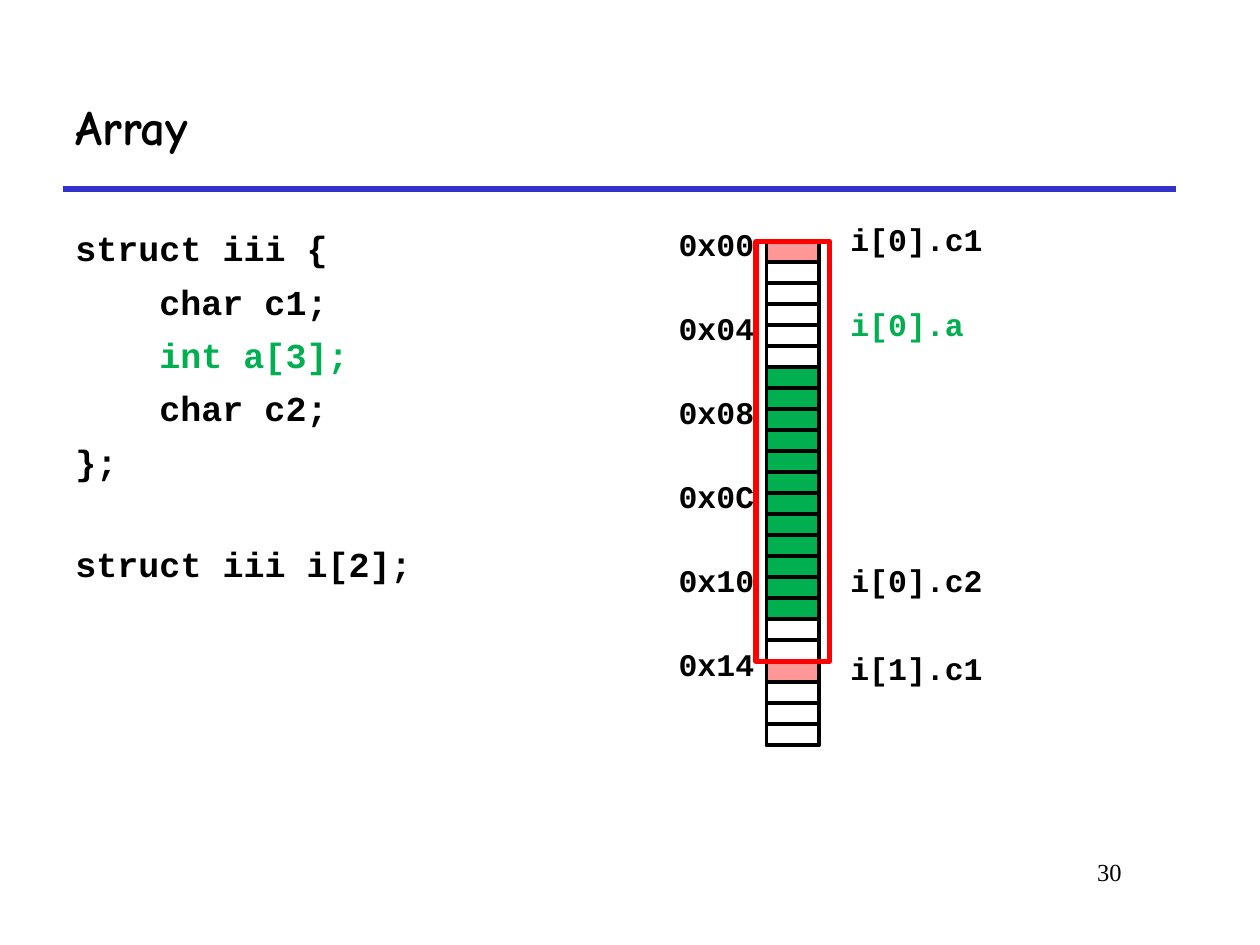
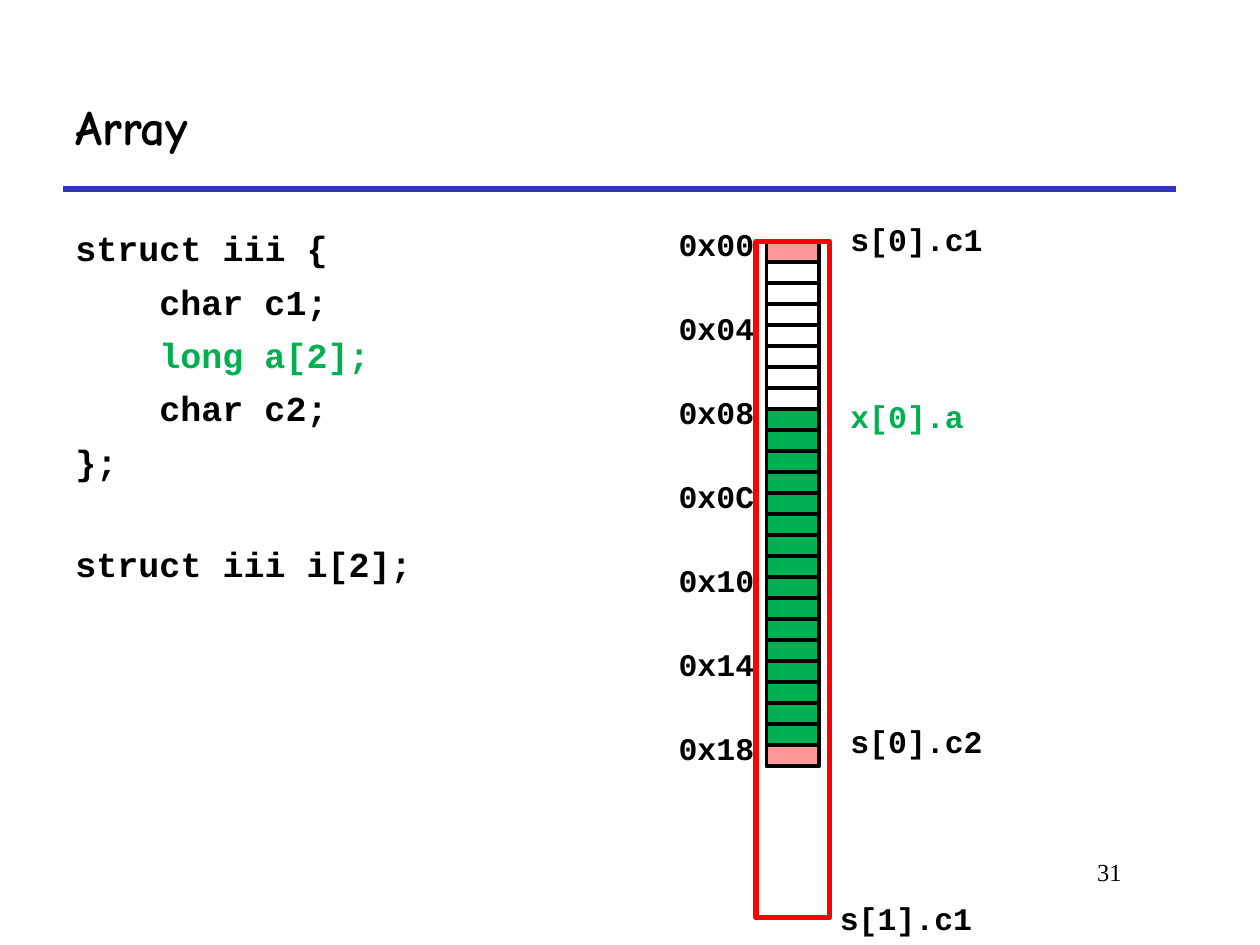
from pptx import Presentation
from pptx.dml.color import RGBColor
from pptx.enum.shapes import MSO_CONNECTOR, MSO_SHAPE
from pptx.enum.text import MSO_ANCHOR, PP_ALIGN
from pptx.oxml.ns import qn
from pptx.util import Inches, Pt

BLACK = RGBColor(0x00, 0x00, 0x00)
BLUE = RGBColor(0x33, 0x33, 0xCC)
GREEN = RGBColor(0x00, 0xB0, 0x50)
PINK = RGBColor(0xFF, 0x97, 0x97)
RED = RGBColor(0xFF, 0x00, 0x00)

LEFT, RIGHT = PP_ALIGN.LEFT, PP_ALIGN.RIGHT
TOP, MIDDLE = MSO_ANCHOR.TOP, MSO_ANCHOR.MIDDLE
RECTANGLE, STRAIGHT = MSO_SHAPE.RECTANGLE, MSO_CONNECTOR.STRAIGHT

TITLE_FONT, CODE_FONT, NUMBER_FONT = "Comic Neue", "Courier New", "Times New Roman"

# Slide grid: 120 columns by 90 rows; one memory byte is 5 by 2 units
UNIT = Inches(10) // 120
BYTE_LEFT, BYTE_TOP, BYTE_WIDTH, BYTE_HEIGHT = 73, 23, 5, 2
LABEL_LEFT, LABEL_WIDTH, LABEL_HEIGHT = 79.8, 16, 4.8
CODE_INDENT = Pt(48)

# Bytes are runs of (count, fill); labels are (byte row, column shift, text, colour)
SLIDES = [
    {
        "number": "30",
        "array": "int a[3];",
        "bytes": [(1, PINK), (5, None), (12, GREEN), (2, None), (1, PINK), (3, None)],
        "addresses": ["0x00", "0x04", "0x08", "0x0C", "0x10", "0x14"],
        "labels": [(-1.3, 0, "i[0].c1", BLACK), (2.75, 0, "i[0].a", GREEN),
                   (14.9, 0, "i[0].c2", BLACK), (19.1, 0, "i[1].c1", BLACK)],
        "frame_bytes": 20,
    },
    {
        "number": "31",
        "array": "long a[2];",
        "bytes": [(1, PINK), (7, None), (16, GREEN), (1, PINK)],
        "addresses": ["0x00", "0x04", "0x08", "0x0C", "0x10", "0x14", "0x18"],
        "labels": [(-1.3, 0, "s[0].c1", BLACK), (7.1, 0, "x[0].a", GREEN),
                   (22.6, 0, "s[0].c2", BLACK), (31, -1, "s[1].c1", BLACK)],
        "frame_bytes": 32.2,
    },
]


def add_text(slide, box, lines, font, size, bold=True, align=LEFT, anchor=TOP):
    """Each line is (text, colour, left indent, space before in points)."""
    shape = slide.shapes.add_textbox(*(round(value * UNIT) for value in box))
    frame = shape.text_frame
    frame.word_wrap = True
    frame.vertical_anchor = anchor
    for index, (text, color, indent, space) in enumerate(lines):
        paragraph = frame.add_paragraph() if index else frame.paragraphs[0]
        paragraph.text = text
        paragraph.alignment = align
        paragraph.space_before = Pt(space)
        paragraph.font.name = font
        paragraph.font.size = Pt(size)
        paragraph.font.bold = bold
        paragraph.font.color.rgb = color
        if indent:
            paragraph._p.get_or_add_pPr().set("marL", str(indent))


def add_box(slide, box, fill, line, weight):
    shape = slide.shapes.add_shape(RECTANGLE, *(round(value * UNIT) for value in box))
    shape.shadow.inherit = False
    if fill is None:
        shape.fill.background()
    else:
        shape.fill.solid()
        shape.fill.fore_color.rgb = fill
    shape.line.color.rgb = line
    shape.line.width = Pt(weight)


presentation = Presentation()
presentation.slide_width = Inches(10)
presentation.slide_height = Inches(7.5)
blank_layout = presentation.slide_layouts[6]

for content in SLIDES:
    slide = presentation.slides.add_slide(blank_layout)

    # Title, rule below it and slide number
    rule = slide.shapes.add_connector(STRAIGHT, 6 * UNIT, 18 * UNIT, 112 * UNIT, 18 * UNIT)
    rule.line.color.rgb = BLUE
    rule.line.width = Pt(3)
    rule._element.spPr.append(rule._element.makeelement(qn("a:effectLst"), {}))
    add_text(slide, (6, 6, 106, 12), [("Array", BLACK, 0, 0)], TITLE_FONT, 28, anchor=MIDDLE)
    add_text(slide, (91, 81, 17, 6), [(content["number"], BLACK, 0, 0)],
             NUMBER_FONT, 14, bold=False, align=RIGHT)

    # Struct declaration
    code = [
        ("struct iii {", BLACK, 0, 5),
        ("char c1;", BLACK, CODE_INDENT, 6.5),
        (content["array"], GREEN, CODE_INDENT, 6.5),
        ("char c2;", BLACK, CODE_INDENT, 6.5),
        ("};", BLACK, 0, 6.5),
        ("struct iii i[2];", BLACK, 0, 34.5),
    ]
    add_text(slide, (6, 21, 40, 51), code, CODE_FONT, 20)

    # Memory column, one box per byte
    fills = [fill for count, fill in content["bytes"] for _ in range(count)]
    for row, fill in enumerate(fills):
        top = BYTE_TOP + row * BYTE_HEIGHT
        add_box(slide, (BYTE_LEFT, top, BYTE_WIDTH, BYTE_HEIGHT), fill, BLACK, 2.25)

    # Address of every fourth byte
    for index, address in enumerate(content["addresses"]):
        top = BYTE_TOP - 2.2 + index * 4 * BYTE_HEIGHT
        add_text(slide, (BYTE_LEFT - 10, top, 10, LABEL_HEIGHT),
                 [(address, BLACK, 0, 4.5)], CODE_FONT, 18, align=RIGHT)

    # Member names
    for row, shift, text, color in content["labels"]:
        top = BYTE_TOP + row * BYTE_HEIGHT
        add_text(slide, (LABEL_LEFT + shift, top, LABEL_WIDTH, LABEL_HEIGHT),
                 [(text, color, 0, 4.5)], CODE_FONT, 18)

    # Frame around the first array element
    frame_height = content["frame_bytes"] * BYTE_HEIGHT
    add_box(slide, (BYTE_LEFT - 1, BYTE_TOP, BYTE_WIDTH + 2, frame_height), None, RED, 3)

presentation.save("out.pptx")
